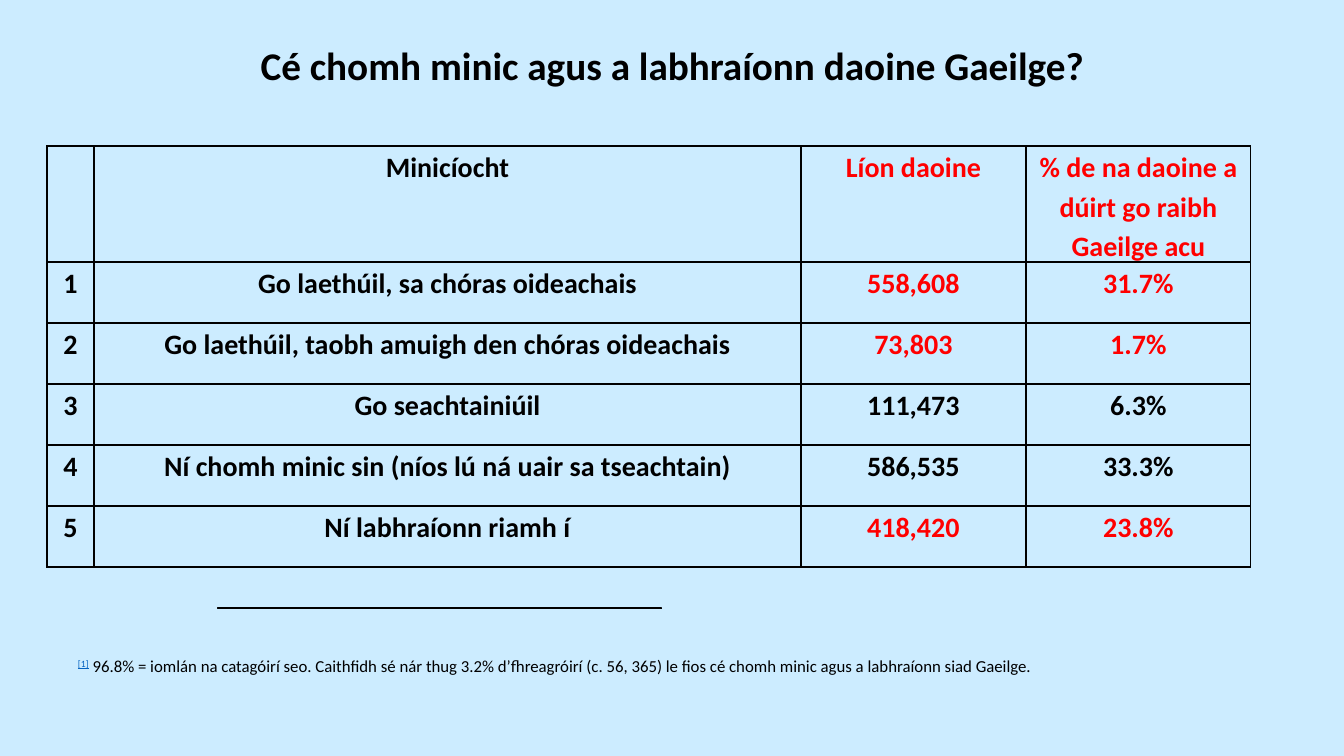
from dataclasses import dataclass

import pptx
import pptx.dml.color
import pptx.enum.text
import pptx.oxml
import pptx.oxml.ns
import pptx.util

EMU_PER_PX = 914400 / 100.8
ALIGN = pptx.enum.text.PP_ALIGN


def colour(code: str) -> pptx.dml.color.RGBColor:
    return pptx.dml.color.RGBColor.from_string(code)


def px(length: int) -> pptx.util.Emu:
    return pptx.util.Emu(round(length * EMU_PER_PX))


@dataclass(frozen=True)
class Theme:
    font: str = "Calibri"
    background: str = "CCECFF"
    ink: str = "000000"
    highlight: str = "FF0000"
    reference: str = "0563C1"
    title_size: int = 28
    table_size: int = 20
    note_size: int = 12


@dataclass(frozen=True)
class Frequency:
    number: str
    description: str
    speakers: str
    share: str
    highlighted: bool


THEME = Theme()
TITLE = "Cé chomh minic agus a labhraíonn daoine Gaeilge?"
FREQUENCIES = [
    Frequency("", "Minicíocht", "Líon daoine", "% de na daoine a dúirt go raibh Gaeilge acu", True),
    Frequency("1", "Go laethúil, sa chóras oideachais", "558,608", "31.7%", True),
    Frequency("2", "Go laethúil, taobh amuigh den chóras oideachais", "73,803", "1.7%", True),
    Frequency("3", "Go seachtainiúil", "111,473", "6.3%", False),
    Frequency("4", "Ní chomh minic sin (níos lú ná uair sa tseachtain)", "586,535", "33.3%", False),
    Frequency("5", "Ní labhraíonn riamh í", "418,420", "23.8%", True),
]
COLUMN_WIDTHS = [47, 707, 225, 225]
HEADER_HEIGHT, ROW_HEIGHT = 116, 61
NOTE_MARK = "[1]"
NOTE = (" 96.8% = iomlán na catagóirí seo. Caithfidh sé nár thug 3.2% d’fhreagróirí (c. 56, 365) "
        "le fios cé chomh minic agus a labhraíonn siad Gaeilge.")


def style_paragraph(paragraph, size: int, ink: str, spacing: float) -> None:
    """Centre a bold paragraph with the slide's usual spacing."""
    paragraph.alignment = ALIGN.CENTER
    paragraph.line_spacing = spacing
    paragraph.space_after = pptx.util.Pt(8)
    paragraph.font.name = THEME.font
    paragraph.font.size = pptx.util.Pt(size)
    paragraph.font.bold = True
    paragraph.font.color.rgb = colour(ink)


def add_borders(cell) -> None:
    properties = cell._tc.get_or_add_tcPr()
    for index, side in enumerate(("lnL", "lnR", "lnT", "lnB")):
        properties.insert(index, pptx.oxml.parse_xml(
            f'<a:{side} {pptx.oxml.ns.nsdecls("a")} w="12700"><a:solidFill>'
            f'<a:srgbClr val="{THEME.ink}"/></a:solidFill></a:{side}>'))


def add_title(slide) -> None:
    frame = slide.shapes.add_textbox(px(193), px(13), px(958), px(74)).text_frame
    frame.word_wrap = True
    frame.auto_size = pptx.enum.text.MSO_AUTO_SIZE.SHAPE_TO_FIT_TEXT
    frame.text = TITLE
    style_paragraph(frame.paragraphs[0], THEME.title_size, THEME.ink, 1.5)


def add_frequency_table(slide) -> None:
    heights = [HEADER_HEIGHT] + [ROW_HEIGHT] * (len(FREQUENCIES) - 1)
    table = slide.shapes.add_table(
        len(heights), len(COLUMN_WIDTHS), px(47), px(146),
        px(sum(COLUMN_WIDTHS)), px(sum(heights))).table
    table.first_row = table.horz_banding = False
    for column, width in zip(table.columns, COLUMN_WIDTHS):
        column.width = px(width)
    for row, height, frequency in zip(table.rows, heights, FREQUENCIES):
        row.height = px(height)
        figure_ink = THEME.highlight if frequency.highlighted else THEME.ink
        entries = [(frequency.number, THEME.ink), (frequency.description, THEME.ink),
                   (frequency.speakers, figure_ink), (frequency.share, figure_ink)]
        for cell, (wording, ink) in zip(row.cells, entries):
            cell.fill.background()
            cell.margin_left = cell.margin_right = px(7)
            cell.margin_top = cell.margin_bottom = 0
            cell.text = wording
            style_paragraph(cell.text_frame.paragraphs[0], THEME.table_size, ink, 1.15)
            add_borders(cell)


def add_note_rule(slide) -> None:
    rule = slide.shapes.add_shape(
        pptx.enum.shapes.MSO_SHAPE.RECTANGLE, px(218), px(608), px(444), px(1))
    rule.shadow.inherit = False
    rule.fill.solid()
    rule.fill.fore_color.rgb = colour(THEME.ink)
    rule.line.color.rgb = colour(THEME.ink)
    rule.line.width = pptx.util.Pt(0.75)


def add_note(slide) -> None:
    frame = slide.shapes.add_textbox(px(68), px(651), px(986), px(30)).text_frame
    frame.word_wrap = False
    frame.auto_size = pptx.enum.text.MSO_AUTO_SIZE.SHAPE_TO_FIT_TEXT
    frame.vertical_anchor = pptx.enum.text.MSO_ANCHOR.MIDDLE
    paragraph = frame.paragraphs[0]
    paragraph.alignment = ALIGN.JUSTIFY
    paragraph.font.name = THEME.font
    paragraph.font.size = pptx.util.Pt(THEME.note_size)
    mark = paragraph.add_run()
    mark.text = NOTE_MARK
    mark.font.color.rgb = colour(THEME.reference)
    mark.font.underline = True
    mark._r.get_or_add_rPr().set("baseline", "30000")
    note = paragraph.add_run()
    note.text = NOTE
    note.font.color.rgb = colour(THEME.ink)


def main() -> None:
    presentation = pptx.Presentation()
    presentation.slide_width, presentation.slide_height = px(1344), px(756)
    slide = presentation.slides.add_slide(presentation.slide_layouts[6])
    slide.background.fill.solid()
    slide.background.fill.fore_color.rgb = colour(THEME.background)
    add_title(slide)
    add_frequency_table(slide)
    add_note_rule(slide)
    add_note(slide)
    presentation.save("out.pptx")


if __name__ == "__main__":
    main()
